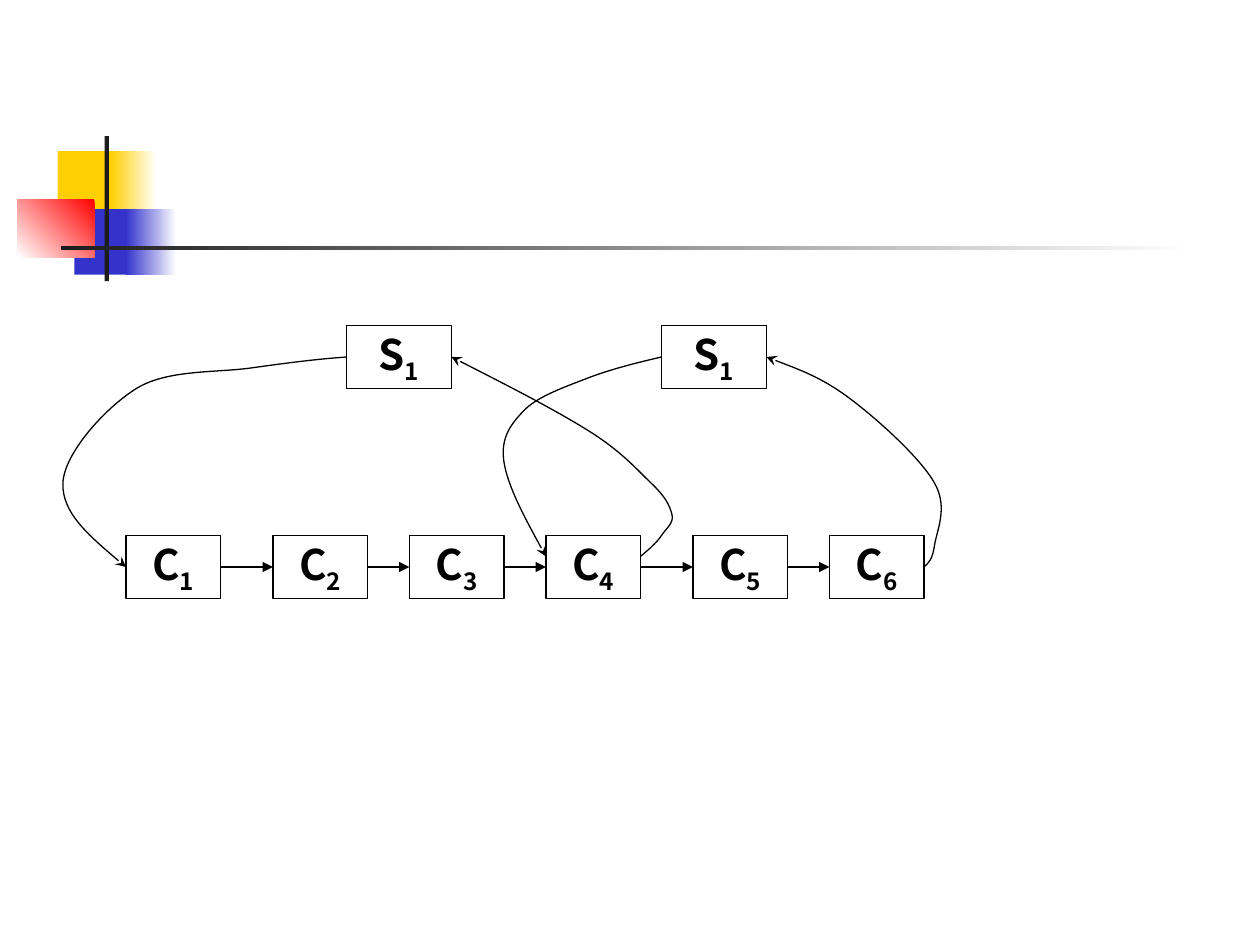
import itertools
from dataclasses import dataclass

import pptx
import pptx.dml.color
import pptx.enum.shapes
import pptx.enum.text
import pptx.oxml
import pptx.oxml.ns
import pptx.util

Pt = pptx.util.Pt
qn = pptx.oxml.ns.qn


@dataclass(frozen=True)
class Theme:
    font: str = "Noto Sans CJK SC"
    size: int = 24
    line_width: float = 0.75
    ink: str = "000000"
    paper: str = "FFFFFF"
    yellow: str = "FFCF01"
    blue: str = "3333CC"
    red: str = "FF0000"
    charcoal: str = "1C1C1C"


def rgb(color):
    return pptx.dml.color.RGBColor.from_string(color)


def add_element(parent, tag, **attributes):
    child = parent.makeelement(qn(tag), attributes)
    parent.append(child)
    return child


class Diagram:
    def __init__(self, slide, theme):
        self.slide = slide
        self.theme = theme

    def rectangle(self, left, top, width, height):
        shape = self.slide.shapes.add_shape(
            pptx.enum.shapes.MSO_SHAPE.RECTANGLE, Pt(left), Pt(top), Pt(width), Pt(height)
        )
        shape.shadow.inherit = False
        return shape

    def solid(self, bounds, color):
        shape = self.rectangle(*bounds)
        shape.fill.solid()
        shape.fill.fore_color.rgb = rgb(color)
        shape.line.fill.background()

    def gradient(self, bounds, start, end, angle=180):
        shape = self.rectangle(*bounds)
        shape.fill.gradient()
        shape.fill.gradient_angle = angle
        for stop, color in zip(shape.fill.gradient_stops, (start, end)):
            stop.color.rgb = rgb(color)
        shape.line.fill.background()

    def outline(self, shape):
        shape.line.width = Pt(self.theme.line_width)
        shape.line.color.rgb = rgb(self.theme.ink)

    def arrowhead(self, shape, kind):
        line = shape.element.spPr.find(qn("a:ln"))
        add_element(line, "a:tailEnd", type=kind)

    def node(self, letter, index, left, top, width, height=36):
        shape = self.rectangle(left, top, width, height)
        shape.fill.background()
        self.outline(shape)
        frame = shape.text_frame
        frame.word_wrap = False
        frame.vertical_anchor = pptx.enum.text.MSO_ANCHOR.MIDDLE
        paragraph = frame.paragraphs[0]
        paragraph.alignment = pptx.enum.text.PP_ALIGN.CENTER
        paragraph.font.name = self.theme.font
        paragraph.font.size = Pt(self.theme.size)
        paragraph.font.bold = True
        paragraph.font.color.rgb = rgb(self.theme.ink)
        paragraph.add_run().text = letter
        subscript = paragraph.add_run()
        subscript.text = str(index)
        subscript.font.element.set("baseline", "-25000") if hasattr(
            subscript.font, "element"
        ) else subscript._r.get_or_add_rPr().set("baseline", "-25000")
        return shape

    def link(self, source, target):
        connector = self.slide.shapes.add_connector(
            pptx.enum.shapes.MSO_CONNECTOR.STRAIGHT, 0, 0, 0, 0
        )
        connector.begin_connect(source, 3)
        connector.end_connect(target, 1)
        self.outline(connector)
        self.arrowhead(connector, "triangle")
        add_element(connector.element.spPr, "a:effectLst")

    def curve(self, start, *controls):
        builder = self.slide.shapes.build_freeform(Pt(start[0]), Pt(start[1]))
        builder.add_line_segments([(Pt(x), Pt(y)) for x, y in controls], close=False)
        shape = builder.convert_to_shape()
        shape.shadow.inherit = False
        shape.fill.background()
        self.outline(shape)
        self.arrowhead(shape, "stealth")
        outline = next(shape.element.iter(qn("a:path")))
        segments = outline.findall(qn("a:lnTo"))
        for first in range(0, len(segments), 3):
            bezier = add_element(outline, "a:cubicBezTo")
            for segment in segments[first:first + 3]:
                bezier.append(segment[0])
                outline.remove(segment)


def main():
    presentation = pptx.Presentation()
    presentation.slide_width = Pt(720)
    presentation.slide_height = Pt(540)
    slide = presentation.slides.add_slide(presentation.slide_layouts[6])
    theme = Theme()
    diagram = Diagram(slide, theme)

    diagram.solid((33, 86.4, 34.6, 37.4), theme.yellow)
    diagram.gradient((63.4, 86.4, 25.9, 37.4), theme.paper, theme.yellow)
    diagram.solid((42.5, 119.5, 33.1, 37.4), theme.blue)
    diagram.gradient((72, 119.5, 28.8, 37.4), theme.paper, theme.blue)
    diagram.gradient((10, 113.8, 44, 33.1), theme.red, theme.paper, 225)
    diagram.solid((59.8, 77.8, 2.4, 82.8), theme.charcoal)
    diagram.gradient((34.6, 140.4, 648, 2.4), theme.paper, theme.charcoal)

    for left in (198, 378):
        diagram.node("S", 1, left, 186, 60)
    chain = [
        diagram.node("C", index, left, 306, 54)
        for index, left in enumerate((72, 156, 234, 312, 396, 474), 1)
    ]
    for source, target in itertools.pairwise(chain):
        diagram.link(source, target)

    diagram.curve(
        (198, 204),
        (180.7, 205.2), (164.2, 207.4), (144, 210.2),
        (123.8, 213.1), (95.8, 211), (78, 222),
        (59.8, 233.3), (36.7, 259.2), (36, 276),
        (35.3, 293), (53.3, 308.2), (72, 324),
    )
    diagram.curve(
        (366, 318),
        (370.8, 313.9), (375.1, 310.3), (378, 306),
        (380.9, 301.7), (385.2, 298.8), (384, 294),
        (382.6, 288.7), (380.2, 283.7), (372, 276),
        (363.6, 268), (355, 257.8), (336, 246),
        (316.8, 234), (287.3, 218.9), (258, 204),
    )
    diagram.curve(
        (378, 204),
        (363.6, 207.4), (349.2, 211), (336, 216),
        (323.3, 221), (308.2, 226.1), (300, 234),
        (292.3, 241.9), (285.8, 249.8), (288, 264),
        (290.2, 277.9), (301, 298.1), (312, 318),
    )
    diagram.curve(
        (528, 324),
        (530.6, 321.8), (532.8, 319.7), (534, 312),
        (535, 303.8), (542.2, 290.2), (534, 276),
        (526.3, 262.1), (501.8, 239.8), (486, 228),
        (470.2, 216), (454.3, 210.2), (438, 204),
    )
    presentation.save("out.pptx")


if __name__ == "__main__":
    main()
